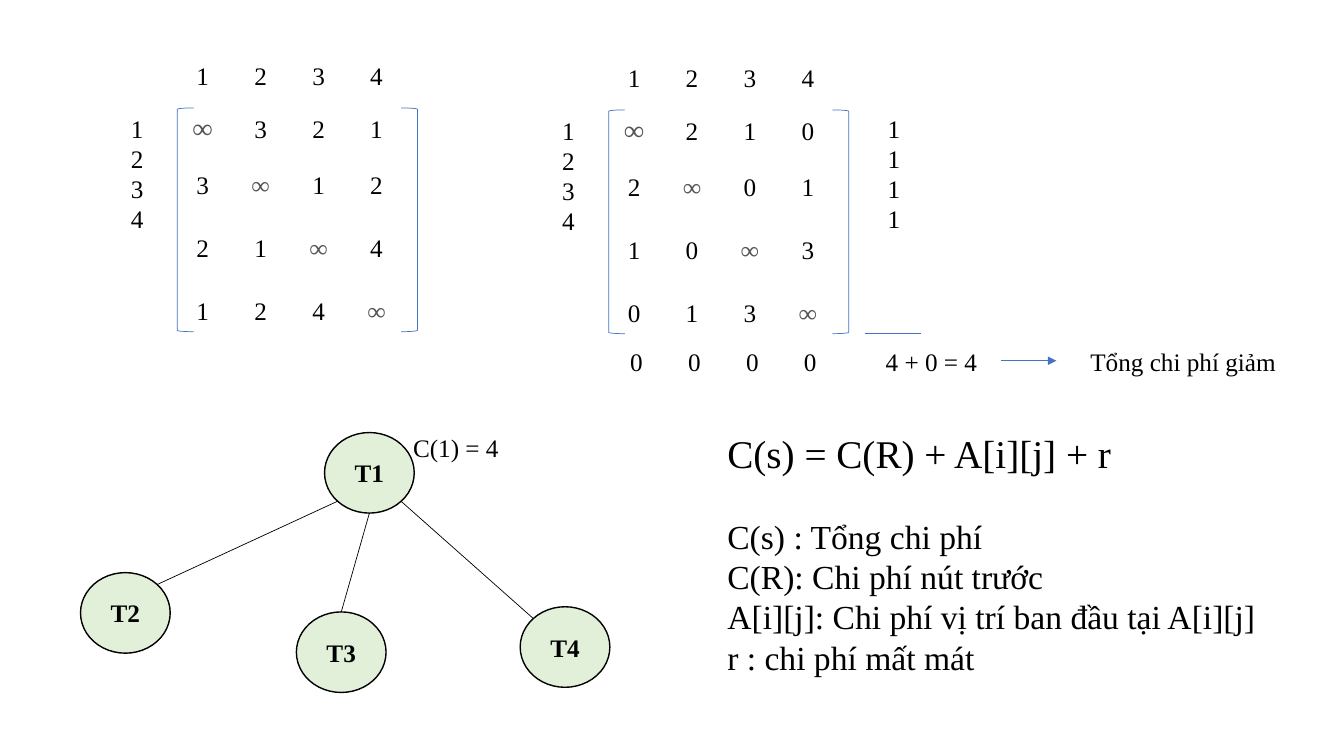
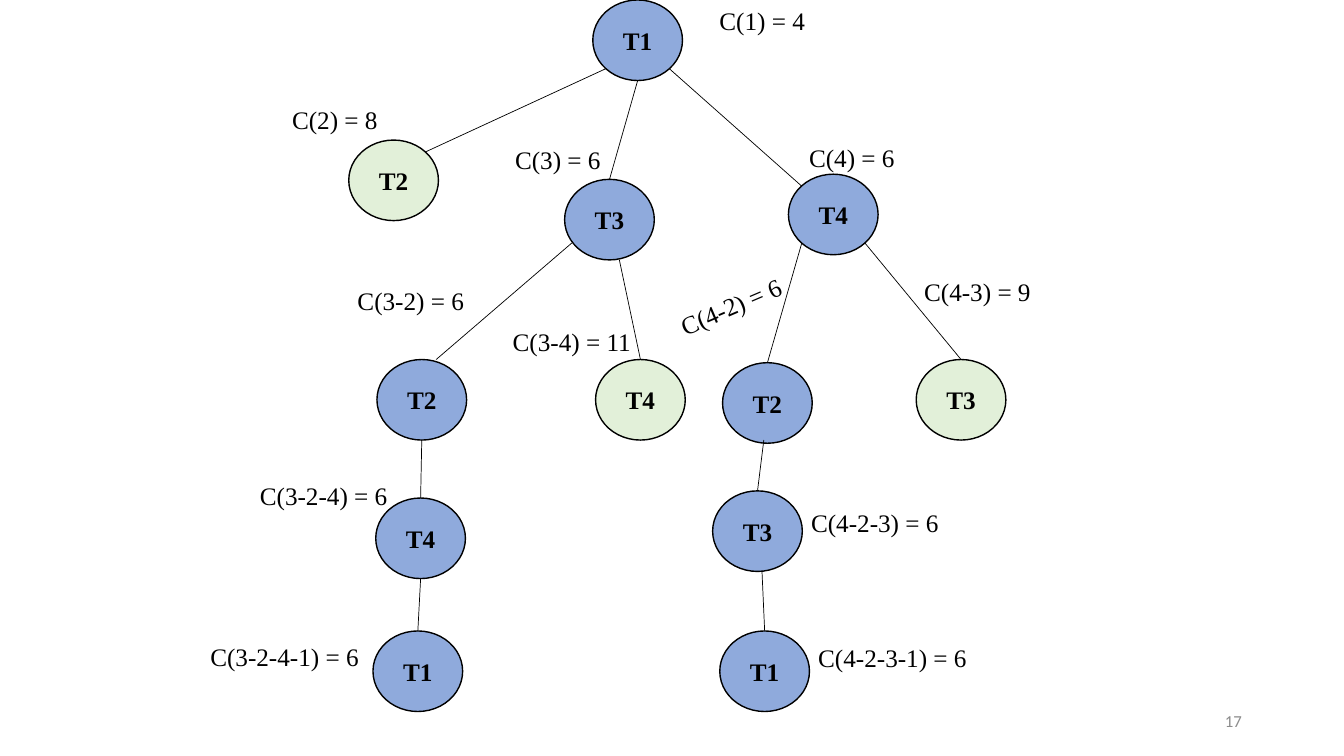
import pptx
import pptx.dml.color
import pptx.enum.shapes
import pptx.enum.text
import pptx.oxml
import pptx.oxml.ns
import pptx.util
import lxml.etree

Cm = pptx.util.Cm
Pt = pptx.util.Pt
SHAPES = pptx.enum.shapes.MSO_SHAPE
ALIGN = pptx.enum.text.PP_ALIGN
ANCHOR = pptx.enum.text.MSO_ANCHOR
qn = pptx.oxml.ns.qn

# Shared look
BLACK, BLUE, GREY, MUTED = "000000", "4472C4", "545454", "8C8C8C"
OPEN_NODE, VISITED_NODE = "E2F0D9", "8FAADC"
NODE_WIDTH, NODE_HEIGHT = 2.26, 2.03
LINE_HEIGHT = 1.02

# Points on a node, as shares of its width and height
TOP, BOTTOM = (0.5, 0), (0.5, 1)
TOP_LEFT, TOP_RIGHT = (0.15, 0.15), (0.85, 0.15)
BOTTOM_LEFT, BOTTOM_RIGHT = (0.15, 0.85), (0.85, 0.85)

# Matrix grid
FIRST_COLUMN, COLUMN_STEP = 0.64, 1.46
ROW_TOPS = (-0.05, 1.42, 3.02, 4.6)
BRACKET_WIDTH, MATRIX_SIZE = 0.41, 5.64
INFINITY = "∞"


def color(value):
    return pptx.dml.color.RGBColor.from_string(value)


def write(para, text, size=18, fill=BLACK, bold=False, font="Times New Roman",
          align=ALIGN.LEFT, before=0):
    """Add a formatted span to a paragraph."""
    para.alignment = align
    para.space_before = Pt(before)
    span = para.add_run()
    span.text = text
    span.font.name = font
    span.font.size = Pt(size)
    span.font.bold = bold
    span.font.color.rgb = color(fill)


class Painter:
    def __init__(self):
        self.deck = pptx.Presentation()
        self.deck.slide_width = Cm(33.87)
        self.deck.slide_height = Cm(19.05)
        self.page = None

    def new_page(self):
        self.page = self.deck.slides.add_slide(self.deck.slide_layouts[6])

    def box(self, left, top, width, height=LINE_HEIGHT):
        box = self.page.shapes.add_textbox(Cm(left), Cm(top), Cm(width), Cm(height))
        box.text_frame.word_wrap = True
        return box

    def text(self, lines, left, top, width, height=LINE_HEIGHT, **style):
        box = self.box(left, top, width, height)
        frame = box.text_frame
        for index, line in enumerate(lines):
            para = frame.add_paragraph() if index else frame.paragraphs[0]
            write(para, line, **style)
        return box

    def label(self, text, left, top, width=3.5, rotation=0):
        self.text([text], left, top, width).rotation = rotation

    def shape(self, kind, left, top, width, height, line, weight, fill=None):
        shape = self.page.shapes.add_shape(
            kind, Cm(left), Cm(top), Cm(width), Cm(height))
        shape.shadow.inherit = False
        shape.line.color.rgb = color(line)
        shape.line.width = Pt(weight)
        if fill:
            shape.fill.solid()
            shape.fill.fore_color.rgb = color(fill)
        else:
            shape.fill.background()
        return shape

    def line(self, start, end, stroke=BLACK, arrow=False):
        line = self.page.shapes.add_connector(
            pptx.enum.shapes.MSO_CONNECTOR.STRAIGHT,
            *(Cm(value) for value in (*start, *end)))
        line.line.color.rgb = color(stroke)
        line.line.width = Pt(0.5)
        if arrow:
            tail = lxml.etree.SubElement(line.line._get_or_add_ln(), qn("a:tailEnd"))
            tail.set("type", "triangle")
        lxml.etree.SubElement(line._element.spPr, qn("a:effectLst"))

    def node(self, name, left, top, fill):
        shape = self.shape(SHAPES.OVAL, left, top, NODE_WIDTH, NODE_HEIGHT,
                           BLACK, 1, fill)
        shape.text_frame.vertical_anchor = ANCHOR.MIDDLE
        write(shape.text_frame.paragraphs[0], name, bold=True, align=ALIGN.CENTER)
        return left, top

    def edge(self, parent, child, start=BOTTOM, end=TOP):
        self.line(*((left + x * NODE_WIDTH, top + y * NODE_HEIGHT)
                    for (left, top), (x, y) in ((parent, start), (child, end))))

    def root_tree(self, left, top, fills):
        """Draw T1 with its three children and return the four places."""
        offsets = ((0, 0), (-6.15, 3.53), (-0.71, 4.52), (4.93, 4.39))
        nodes = [self.node(f"T{number}", left + x, top + y, fill)
                 for number, ((x, y), fill) in enumerate(zip(offsets, fills), 1)]
        root, second, third, fourth = nodes
        self.edge(root, second, BOTTOM_LEFT, TOP_RIGHT)
        self.edge(root, third)
        self.edge(root, fourth, BOTTOM_RIGHT, TOP_LEFT)
        return nodes

    def matrix_row(self, values, left, top, infinity_size=18):
        frame = self.box(left, top, MATRIX_SIZE).text_frame
        frame.margin_left = frame.margin_right = 0
        para = frame.paragraphs[0]
        for value in values:
            if value == INFINITY:
                write(para, "\t" + value, size=infinity_size, fill=GREY, bold=True)
            else:
                write(para, "\t" + value)
        stops = lxml.etree.SubElement(para._p.get_or_add_pPr(), qn("a:tabLst"))
        for column in range(len(values)):
            stop = lxml.etree.SubElement(stops, qn("a:tab"))
            stop.set("pos", str(int(Cm(FIRST_COLUMN + column * COLUMN_STEP))))
            stop.set("algn", "ctr")

    def matrix(self, rows, left, top):
        self.matrix_row("1234", left, top - 1.32)
        self.text("1234", left - 1.42, top, 0.99, MATRIX_SIZE)
        for kind, shift in ((SHAPES.LEFT_BRACKET, 0),
                            (SHAPES.RIGHT_BRACKET, MATRIX_SIZE)):
            self.shape(kind, left + shift, top, BRACKET_WIDTH, MATRIX_SIZE, BLUE, 0.5)
        for index, (values, offset) in enumerate(zip(rows, ROW_TOPS)):
            self.matrix_row(values, left, top + offset, 18 if index else 20)


painter = Painter()

# Slide 1: cost matrix and its reduction
painter.new_page()
painter.matrix(("∞321", "3∞12", "21∞4", "124∞"), 4.47, 2.72)
painter.matrix(("∞210", "2∞01", "10∞3", "013∞"), 15.34, 2.77)
painter.text("1111", 22.12, 2.72, 0.99, MATRIX_SIZE)
painter.matrix_row("0000", 15.4, 8.61)
painter.line((21.79, 8.41), (23.22, 8.41), BLUE)
painter.label("4 + 0 = 4", 22.07, 8.61)
painter.line((25.22, 9.09), (26.62, 9.09), BLUE, arrow=True)
painter.label("Tổng chi phí giảm", 27.23, 8.61, 5.41)

# Slide 1: formula and its terms
formula = painter.text(["C(s) = C(R) + A[i][j] + r"], 18.08, 10.69, 14.55, 6.58, size=28)
terms = ("C(s) : Tổng chi phí", "C(R): Chi phí nút trước",
         "A[i][j]: Chi phí vị trí ban đầu tại A[i][j]", "r : chi phí mất mát")
for index, term in enumerate(terms):
    write(formula.text_frame.add_paragraph(), term, size=24,
          before=0 if index else 28)

# Slide 1: first level of the tree
painter.root_tree(8.18, 10.9, [OPEN_NODE] * 4)
painter.label("C(1) = 4", 10.16, 10.77)

# Slide 2: full search tree
painter.new_page()
_, _, third, fourth = painter.root_tree(
    14.94, 0, (VISITED_NODE, OPEN_NODE, VISITED_NODE, VISITED_NODE))

# Branch through T3
left_second = painter.node("T2", 9.5, 9.06, VISITED_NODE)
left_fourth = painter.node("T4", 15.01, 9.06, OPEN_NODE)
left_next = painter.node("T4", 9.47, 12.55, VISITED_NODE)
left_end = painter.node("T1", 9.4, 15.9, VISITED_NODE)
painter.edge(third, left_second, (0.08, 0.79), (0.66, 0))
painter.edge(third, left_fourth, (0.61, 1))
painter.edge(left_second, left_next)
painter.edge(left_next, left_end)

# Branch through T4
right_second = painter.node("T2", 18.21, 9.14, VISITED_NODE)
right_third = painter.node("T3", 23.09, 9.06, OPEN_NODE)
right_next = painter.node("T3", 17.96, 12.37, VISITED_NODE)
right_end = painter.node("T1", 18.14, 15.9, VISITED_NODE)
painter.edge(fourth, right_second, BOTTOM_LEFT)
painter.edge(fourth, right_third, BOTTOM_RIGHT)
painter.edge(right_second, right_next, (0.46, 0.96))
painter.edge(right_next, right_end, (0.55, 1))

# Costs beside the nodes
for text, left, top in (
        ("C(1) = 4", 17.88, 0), ("C(2) = 8", 7.11, 2.51),
        ("C(3) = 6", 12.73, 3.51), ("C(4) = 6", 20.14, 3.45),
        ("C(3-2) = 6", 8.76, 7.06), ("C(3-4) = 11", 12.67, 8.1),
        ("C(4-3) = 9", 23.04, 6.83)):
    painter.label(text, left, top)
painter.label("C(4-2) = 6", 16.81, 7.14, rotation=-23.2)
for text, left, top in (
        ("C(3-2-4) = 6", 6.3, 11.99), ("C(4-2-3) = 6", 20.19, 12.65),
        ("C(3-2-4-1) = 6", 5.05, 16.03), ("C(4-2-3-1) = 6", 20.37, 16.05)):
    painter.label(text, left, top, 4.32)

# Page number
number = painter.text(["17"], 23.93, 17.65, 7.62, size=12, fill=MUTED,
                      font="Calibri", align=ALIGN.RIGHT)
number.text_frame.vertical_anchor = ANCHOR.MIDDLE

painter.deck.save("out.pptx")
